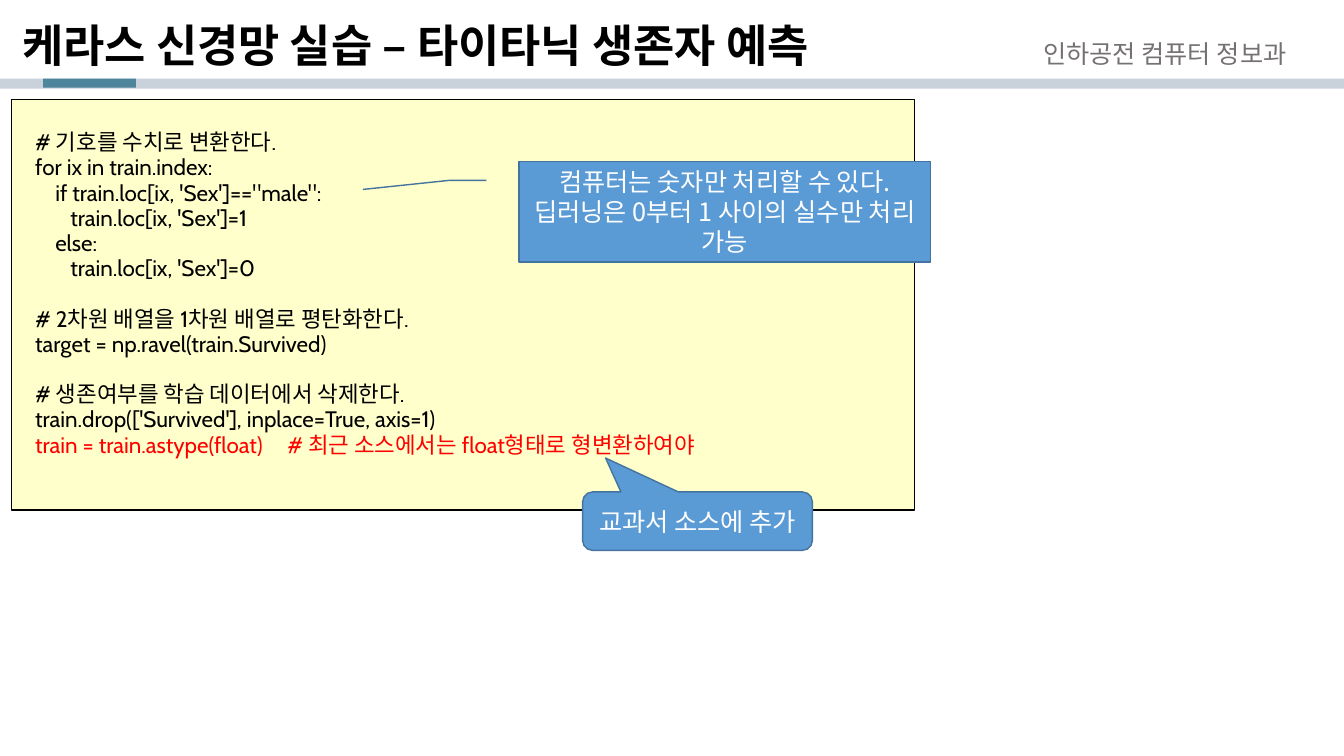
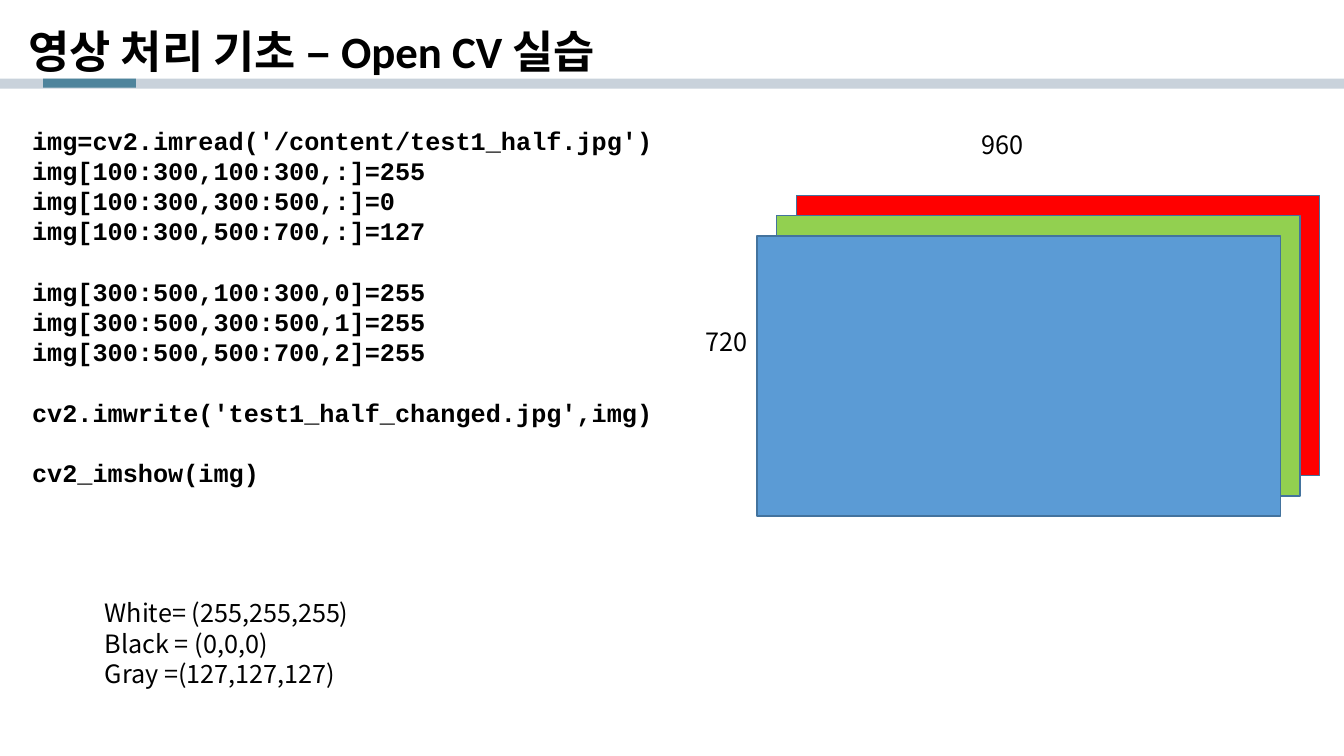
from dataclasses import dataclass
from typing import Optional, Sequence

from lxml import etree
from pptx import Presentation
from pptx.dml.color import RGBColor
from pptx.enum.shapes import MSO_SHAPE
from pptx.enum.text import MSO_ANCHOR, MSO_AUTO_SIZE, PP_ALIGN
from pptx.oxml.ns import qn
from pptx.util import Inches, Pt

RECTANGLE = MSO_SHAPE.RECTANGLE
BUBBLE = MSO_SHAPE.ROUNDED_RECTANGULAR_CALLOUT
LINE_CALLOUT = MSO_SHAPE.LINE_CALLOUT_2
MIDDLE, TOP = MSO_ANCHOR.MIDDLE, MSO_ANCHOR.TOP
LEFT, CENTER = PP_ALIGN.LEFT, PP_ALIGN.CENTER
NO_AUTOFIT = MSO_AUTO_SIZE.NONE
TITLE_ONLY = 5

BLACK = RGBColor(0x00, 0x00, 0x00)
WHITE = RGBColor(0xFF, 0xFF, 0xFF)
RED = RGBColor(0xFF, 0x00, 0x00)
GREEN = RGBColor(0x92, 0xD0, 0x50)
BLUE = RGBColor(0x5B, 0x9B, 0xD5)
BLUE_EDGE = RGBColor(0x43, 0x73, 0x9E)
CREAM = RGBColor(0xFF, 0xFF, 0xCC)
GRAY = RGBColor(0x76, 0x71, 0x71)
BAND_GRAY = RGBColor(0xC9, 0xD2, 0xDB)
TEAL = RGBColor(0x4E, 0x84, 0x9C)

SLIDE_WIDTH, SLIDE_HEIGHT = Inches(13.33), Inches(7.5)
KOREAN_FONT = "Noto Sans CJK KR"


@dataclass(frozen=True)
class Area:
    """Position and size in percent of the slide's width and height."""
    left: float
    top: float
    width: float
    height: float

    def lengths(self) -> tuple[int, int, int, int]:
        return (int(SLIDE_WIDTH * self.left / 100), int(SLIDE_HEIGHT * self.top / 100),
                int(SLIDE_WIDTH * self.width / 100), int(SLIDE_HEIGHT * self.height / 100))


@dataclass(frozen=True)
class TextStyle:
    font: str = KOREAN_FONT
    size: float = 18
    color: RGBColor = BLACK
    bold: bool = False
    spacing: float | Pt = Pt(21.6)
    align: PP_ALIGN = LEFT
    indent: float = 0
    tab: Optional[float] = None


@dataclass(frozen=True)
class Callout:
    kind: MSO_SHAPE
    area: Area
    text: str
    adjustments: Sequence[float]


TITLE = TextStyle("Calibri", 32, bold=True, spacing=0.9)
BODY = TextStyle()
DEPARTMENT = TextStyle(color=GRAY)
CALLOUT_TEXT = TextStyle(color=WHITE, align=CENTER)
PANEL_CODE = TextStyle("Cabin", 16, spacing=Pt(18), indent=0.14, tab=2.5)
PLAIN_CODE = TextStyle("Courier New", bold=True)

BAND = Area(0, 10.4, 100, 1.33)
BAND_MARK = Area(3.22, 10.4, 6.9, 1.2)

TITANIC_CODE = (
    ("# 기호를 수치로 변환한다.",
     "for ix in train.index:",
     "    if train.loc[ix, 'Sex']==\"male\":",
     "       train.loc[ix, 'Sex']=1",
     "    else:",
     "       train.loc[ix, 'Sex']=0"),
    ("# 2차원 배열을 1차원 배열로 평탄화한다.",
     "target = np.ravel(train.Survived)"),
    ("# 생존여부를 학습 데이터에서 삭제한다.",
     "train.drop(['Survived'], inplace=True, axis=1)",
     "train = train.astype(float)\t# 최근 소스에서는 float형태로 형변환하여야"),
)
IMAGE_CODE = (
    ("img=cv2.imread('/content/test1_half.jpg')",
     "img[100:300,100:300,:]=255",
     "img[100:300,300:500,:]=0",
     "img[100:300,500:700,:]=127"),
    ("img[300:500,100:300,0]=255",
     "img[300:500,300:500,1]=255",
     "img[300:500,500:700,2]=255"),
    ("cv2.imwrite('test1_half_changed.jpg',img)",),
    ("cv2_imshow(img)",),
)
CALLOUTS = (
    Callout(BUBBLE, Area(43.35, 65.07, 17.1, 7.73), "교과서 소스에 추가",
            (-0.4, -1.08, 0.17)),
    Callout(LINE_CALLOUT, Area(38.63, 21.33, 30.6, 13.33),
            "컴퓨터는 숫자만 처리할 수 있다. 딥러닝은 0부터 1 사이의 실수만 처리 가능",
            (0.19, -0.08, 0.19, -0.17, 0.28, -0.38)),
)

FRONT_CHANNEL = Area(56.33, 31.2, 38.93, 37.07)
CHANNEL_STEP_X, CHANNEL_STEP_Y = 1.46, -2.67
CHANNEL_COLORS = (BLUE, GREEN, RED)


def place(shape, area: Area) -> None:
    shape.left, shape.top, shape.width, shape.height = area.lengths()


def write(frame, blocks: Sequence[Sequence[str]], style: TextStyle) -> None:
    """Write one paragraph per line, with a line's height between blocks."""
    frame.word_wrap = True
    frame.auto_size = NO_AUTOFIT
    lines = [(text, block_index > 0 and line_index == 0)
             for block_index, block in enumerate(blocks)
             for line_index, text in enumerate(block)]
    for index, (text, opens_block) in enumerate(lines):
        para = frame.add_paragraph() if index else frame.paragraphs[0]
        para.text = text
        properties = para._p.get_or_add_pPr()
        if style.indent:
            properties.set("marL", str(Inches(style.indent)))
            properties.set("indent", "0")
        if style.tab:
            stops = etree.SubElement(properties, qn("a:tabLst"))
            etree.SubElement(stops, qn("a:tab"), pos=str(Inches(style.tab)), algn="l")
        para.alignment = style.align
        para.line_spacing = style.spacing
        if opens_block:
            para.space_before = style.spacing
        font = para.font
        font.name, font.size, font.bold = style.font, Pt(style.size), style.bold
        font.color.rgb = style.color
        latin = properties.find(qn("a:defRPr")).find(qn("a:latin"))
        east_asian = etree.Element(qn("a:ea"), typeface=KOREAN_FONT)
        latin.addnext(east_asian)


def add_text(page, area: Area, blocks: Sequence[Sequence[str]], style: TextStyle) -> None:
    box = page.shapes.add_textbox(*area.lengths())
    write(box.text_frame, blocks, style)


def add_box(page, area: Area, fill: RGBColor, edge: Optional[RGBColor] = None,
            kind: MSO_SHAPE = RECTANGLE, edge_width: float = 1):
    box = page.shapes.add_shape(kind, *area.lengths())
    box.shadow.inherit = False
    box.fill.solid()
    box.fill.fore_color.rgb = fill
    if edge is None:
        box.line.fill.background()
    else:
        box.line.color.rgb = edge
        box.line.width = Pt(edge_width)
    return box


def add_callout(page, callout: Callout) -> None:
    box = add_box(page, callout.area, BLUE, BLUE_EDGE, callout.kind)
    for index, value in enumerate(callout.adjustments):
        box.adjustments[index] = value
    box.text_frame.vertical_anchor = MIDDLE
    write(box.text_frame, ((callout.text,),), CALLOUT_TEXT)


def add_page(deck, title: str, title_area: Area):
    """Add a slide with the shared band and title style."""
    page = deck.slides.add_slide(deck.slide_layouts[TITLE_ONLY])
    add_box(page, BAND, BAND_GRAY)
    add_box(page, BAND_MARK, TEAL)
    heading = page.shapes.title
    place(heading, title_area)
    frame = heading.text_frame
    frame.vertical_anchor = MIDDLE
    frame.margin_left = Inches(0.16)
    write(frame, ((title,),), TITLE)
    return page


def add_titanic_page(deck) -> None:
    page = add_page(deck, "케라스 신경망 실습 – 타이타닉 생존자 예측",
                    Area(0.45, 1.2, 99.15, 10.27))
    add_text(page, Area(76.88, 4.4, 21.83, 5.33), (("인하공전 컴퓨터 정보과",),), DEPARTMENT)
    panel = add_box(page, Area(0.83, 13.2, 67.2, 54.27), CREAM, BLACK, edge_width=0.75)
    frame = panel.text_frame
    frame.vertical_anchor = TOP
    frame.margin_top = Inches(0.3)
    write(frame, TITANIC_CODE, PANEL_CODE)
    frame.paragraphs[-1].font.color.rgb = RED
    for callout in CALLOUTS:
        add_callout(page, callout)


def add_image_page(deck) -> None:
    page = add_page(deck, "영상 처리 기초 – Open CV 실습", Area(0.9, 2, 99.15, 10.27))
    for depth, color in reversed(list(enumerate(CHANNEL_COLORS))):
        area = Area(FRONT_CHANNEL.left + depth * CHANNEL_STEP_X,
                    FRONT_CHANNEL.top + depth * CHANNEL_STEP_Y,
                    FRONT_CHANNEL.width, FRONT_CHANNEL.height)
        add_box(page, area, color, BLUE_EDGE)
    add_text(page, Area(1.65, 15.87, 82.43, 49.87), IMAGE_CODE, PLAIN_CODE)
    add_text(page, Area(51.75, 42.53, 5.33, 5.33), (("720",),), BODY)
    add_text(page, Area(72.3, 16.4, 12.83, 5.33), (("960",),), BODY)
    add_text(page, Area(7.05, 78.4, 19.88, 13.47),
             (("White= (255,255,255)", "Black = (0,0,0)", "Gray =(127,127,127)"),), BODY)


def main() -> None:
    deck = Presentation()
    deck.slide_width, deck.slide_height = SLIDE_WIDTH, SLIDE_HEIGHT
    add_titanic_page(deck)
    add_image_page(deck)
    deck.save("out.pptx")


if __name__ == "__main__":
    main()
